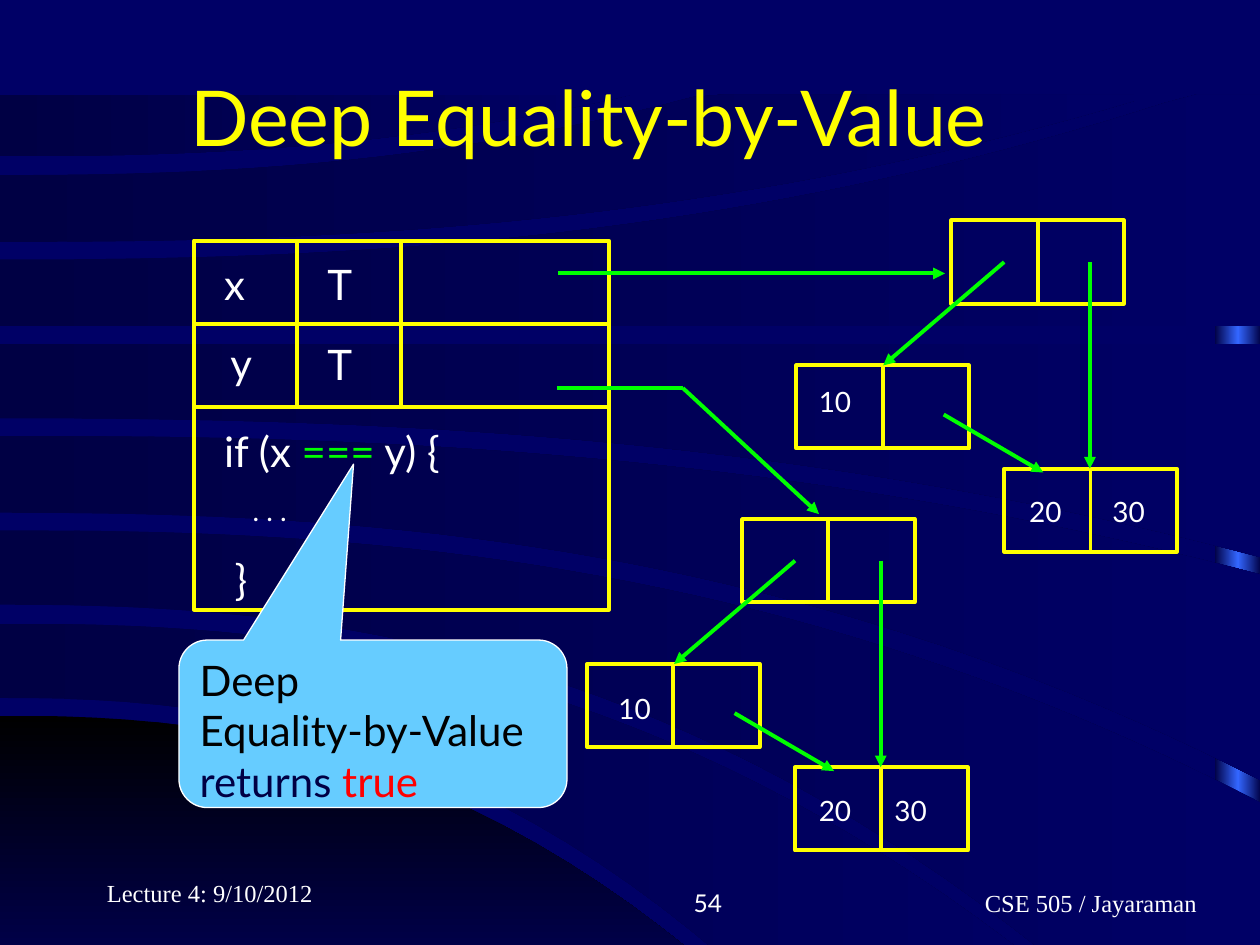
from copy import deepcopy

from pptx import Presentation
from pptx.dml.color import RGBColor
from pptx.enum import shapes as sh, text as t
from pptx.oxml import ns, xmlchemy as xml
from pptx.util import Inches, Pt

COLORS = {
    "night": "000066", "dusk": "000044", "glow": "3366FF", "black": "000000",
    "frame": "FFFF00", "pointer": "00FF00", "text": "FFFFFF",
    "callout": "66CCFF", "result": "FF0000",
}
SANS, SERIF = "Lato", "Times New Roman"
NODE_W, NODE_H = 1.37, 0.66
WAVE_TOP, WAVE_BOTTOM, WAVE_POWER, WAVE_STEPS = 0.75, 8.25, 2.4, 40

# Each wave: upper edge and lower edge, as height at the left and drop at the right
CORNER = (5.68, 7.9), (WAVE_BOTTOM, 0)
WAVES = [
    ((4.95, 4.3), (5.54, 7.8)),
    ((4.21, 2.16), (4.8, 4.33)),
    ((3.46, 1.1), (4.07, 2.12)),
    ((2.73, 0), (3.32, 1.1)),
    ((2.06, -1.5), (2.59, 0)),
    ((1.39, -2.6), (1.92, -1.44)),
    ((WAVE_TOP, 0), (1.24, -2.56)),
]


def rgb(name):
    return RGBColor.from_string(COLORS[name])


def fill_gradient(shape, names, angle=0):
    """Spread the named colours evenly over the shape."""
    shape.shadow.inherit = False
    shape.line.fill.background()
    shape.fill.gradient()
    shape.fill.gradient_angle = angle
    stop_list = shape._element.spPr.find(ns.qn("a:gradFill")).find(ns.qn("a:gsLst"))
    for _ in names[2:]:
        stop_list.append(deepcopy(stop_list[-1]))
    for i, (stop, name) in enumerate(zip(shape.fill.gradient_stops, names)):
        stop.position = i / (len(names) - 1)
        stop.color.rgb = rgb(name)


def edge_height(edge, share):
    start, drop = edge
    return min(max(start + drop * share ** WAVE_POWER, WAVE_TOP), WAVE_BOTTOM)


def add_wave(slide, edges, names, angle=0):
    upper, lower = [], []
    for i in range(WAVE_STEPS + 1):
        share = i / WAVE_STEPS
        top, bottom = (edge_height(edge, share) for edge in edges)
        if top < bottom:
            upper.append((Inches(10 * share), Inches(top)))
            lower.append((Inches(10 * share), Inches(bottom)))
    outline = upper + lower[::-1]
    builder = slide.shapes.build_freeform(*outline[0], scale=1.0)
    builder.add_line_segments(outline[1:], close=True)
    fill_gradient(builder.convert_to_shape(), names, angle)


def add_frame(slide, x, y, w, h):
    frame = slide.shapes.add_shape(
        sh.MSO_SHAPE.RECTANGLE, Inches(x), Inches(y), Inches(w), Inches(h))
    frame.shadow.inherit = False
    frame.fill.background()
    frame.line.color.rgb = rgb("frame")
    frame.line.width = Pt(2.25)


def add_line(slide, x1, y1, x2, y2, color="frame", arrow=False):
    line = slide.shapes.add_connector(
        sh.MSO_CONNECTOR.STRAIGHT, Inches(x1), Inches(y1), Inches(x2), Inches(y2))
    line.line.color.rgb = rgb(color)
    line.line.width = Pt(2.25)
    if arrow:
        tail = xml.OxmlElement("a:tailEnd")
        tail.set("type", "triangle")
        line.line._get_or_add_ln().append(tail)
    line._element.spPr.append(xml.OxmlElement("a:effectLst"))


def write_runs(paragraph, runs, size, font=SANS):
    for words, color in runs:
        run = paragraph.add_run()
        run.text = words
        run.font.size, run.font.name = Pt(size), font
        run.font.color.rgb = rgb(color)


def add_text(slide, x, y, w, h, words, size, font=SANS,
             anchor=t.MSO_ANCHOR.TOP, align=t.PP_ALIGN.LEFT):
    box = slide.shapes.add_textbox(Inches(x), Inches(y), Inches(w), Inches(h))
    frame = box.text_frame
    frame.word_wrap = True
    frame.vertical_anchor = anchor
    frame.paragraphs[0].alignment = align
    if words:
        write_runs(frame.paragraphs[0], [(words, "text")], size, font)
    return frame


def add_structure(slide, x, y, labels):
    """Draw three linked pair nodes whose root is at x, y."""
    half = NODE_W / 2
    for dx, dy in [(0, 0), (-1.23, 1.15), (0.42, 1.97)]:
        left, top = x + dx, y + dy
        add_frame(slide, left, top, NODE_W, NODE_H)
        add_line(slide, left + half, top, left + half, top + NODE_H)
    for x1, y1, x2, y2 in [(0.42, 0.33, -0.54, 1.15), (1.1, 0.33, 1.1, 1.97),
                           (-0.06, 1.54, 0.73, 2)]:
        add_line(slide, x + x1, y + y1, x + x2, y + y2, "pointer", arrow=True)
    for words, left, top in labels:
        add_text(slide, left, top, 0.68, 0.37, words, 16)


def add_background(slide):
    slide.background.fill.solid()
    slide.background.fill.fore_color.rgb = rgb("night")
    strip = slide.shapes.add_shape(
        sh.MSO_SHAPE.RECTANGLE, Inches(9.64), Inches(0.77), Inches(0.37), Inches(7.5))
    fill_gradient(strip, ["dusk", "glow", "dusk"])
    add_wave(slide, CORNER, ["black", "night"], angle=270)
    for edges in WAVES:
        add_wave(slide, edges, ["dusk", "night"])


def set_title(slide, words):
    title = slide.shapes.title
    slide.shapes._spTree.append(title._element)  # in front of the waves
    title.left, title.top = Inches(1.41), Inches(0.5)
    title.width, title.height = Inches(6.83), Inches(0.84)
    frame = title.text_frame
    frame.word_wrap = False
    frame.auto_size = t.MSO_AUTO_SIZE.NONE
    frame.vertical_anchor = t.MSO_ANCHOR.TOP
    frame.paragraphs[0].alignment = t.PP_ALIGN.LEFT
    write_runs(frame.paragraphs[0], [(words, "frame")], 44)


def add_program(slide):
    left, top, width, row, column = 1.54, 1.91, 3.29, 0.66, 0.82
    add_frame(slide, left, top, width, 2.93)
    for i in (1, 2):
        add_line(slide, left, top + i * row, left + width, top + i * row)
        add_line(slide, left + i * column, top, left + i * column, top + 2 * row)
    for words, x, y in [("x", 1.68, 2), ("y", 1.73, 2.63), ("T", 2.5, 2), ("T", 2.5, 2.64)]:
        add_text(slide, x, y, 0.68, 0.5, words, 24)
    code = add_text(slide, 1.68, 3.33, 2.6, 1.5, "", 24)
    write_runs(code.paragraphs[0],
               [("if (x ", "text"), ("===", "pointer"), (" y) {", "text")], 24)
    for words, size, space in [("    . . .", 16, 10), (" }", 24, 15)]:
        paragraph = code.add_paragraph()
        paragraph.space_before = Pt(space)
        write_runs(paragraph, [(words, "text")], size)


def add_callout(slide):
    callout = slide.shapes.add_shape(
        sh.MSO_SHAPE.ROUNDED_RECTANGULAR_CALLOUT,
        Inches(1.42), Inches(5.08), Inches(3.08), Inches(1.33))
    for i, value in enumerate([-0.05, -1.55, 0.17]):
        callout.adjustments[i] = value
    callout.shadow.inherit = False
    callout.fill.solid()
    callout.fill.fore_color.rgb = rgb("callout")
    callout.line.color.rgb = rgb("text")
    callout.line.width = Pt(0.75)
    frame = callout.text_frame
    frame.word_wrap = True
    frame.vertical_anchor = t.MSO_ANCHOR.TOP
    write_runs(frame.paragraphs[0], [("Deep", "black")], 24)
    write_runs(frame.add_paragraph(), [("Equality-by-Value ", "black"),
                                       ("returns ", "dusk"), ("true", "result")], 24)
    for paragraph in frame.paragraphs:
        paragraph.alignment = t.PP_ALIGN.LEFT


def add_footer(slide):
    bottom, right = t.MSO_ANCHOR.BOTTOM, t.PP_ALIGN.RIGHT
    add_text(slide, 0.75, 6.75, 2.08, 0.5, "Lecture 4: 9/10/2012", 14, SERIF, bottom)
    add_text(slide, 3.75, 6.83, 2.08, 0.5, "54", 14, SANS, bottom, right)
    course = add_text(slide, 6.58, 6.83, 3.17, 0.5, "CSE 505 / Jayaraman", 14, SERIF,
                      bottom, right)
    course.margin_right = Inches(0.25)


def main():
    prs = Presentation()
    prs.slide_width, prs.slide_height = Inches(10), Inches(7.5)
    slide = prs.slides.add_slide(prs.slide_layouts[5])
    add_background(slide)
    set_title(slide, "Deep Equality-by-Value")
    add_program(slide)
    # Structures that x and y refer to
    add_structure(slide, 7.55, 1.75, [("10", 6.4, 3), ("20", 8.07, 3.88), ("30", 8.73, 3.88)])
    add_structure(slide, 5.89, 4.12, [("10", 4.81, 5.44), ("20", 6.4, 6.25), ("30", 7, 6.25)])
    # References from the variables
    add_line(slide, 4.43, 2.17, 7.5, 2.17, "pointer", arrow=True)
    add_line(slide, 4.42, 3.08, 5.42, 3.08, "pointer")
    add_line(slide, 5.42, 3.08, 6.5, 4.08, "pointer", arrow=True)
    add_callout(slide)
    add_footer(slide)
    prs.save("out.pptx")


if __name__ == "__main__":
    main()
